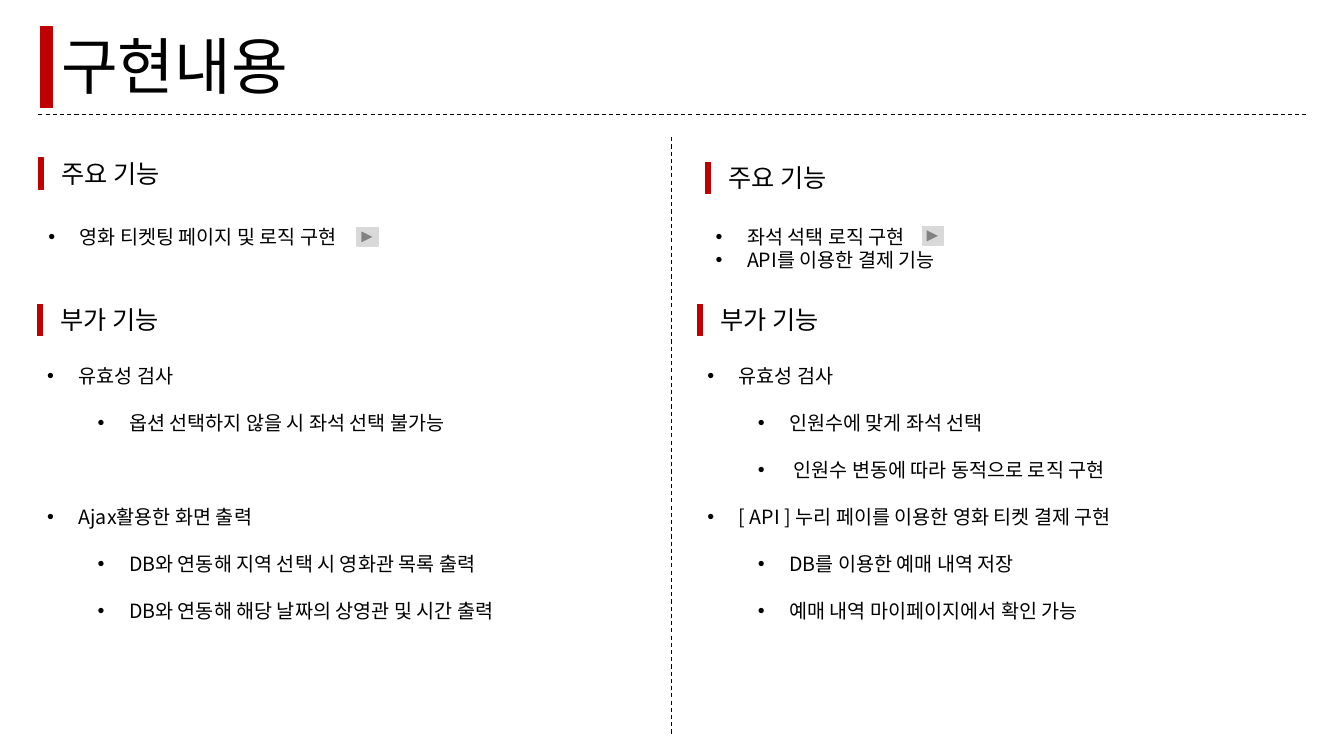
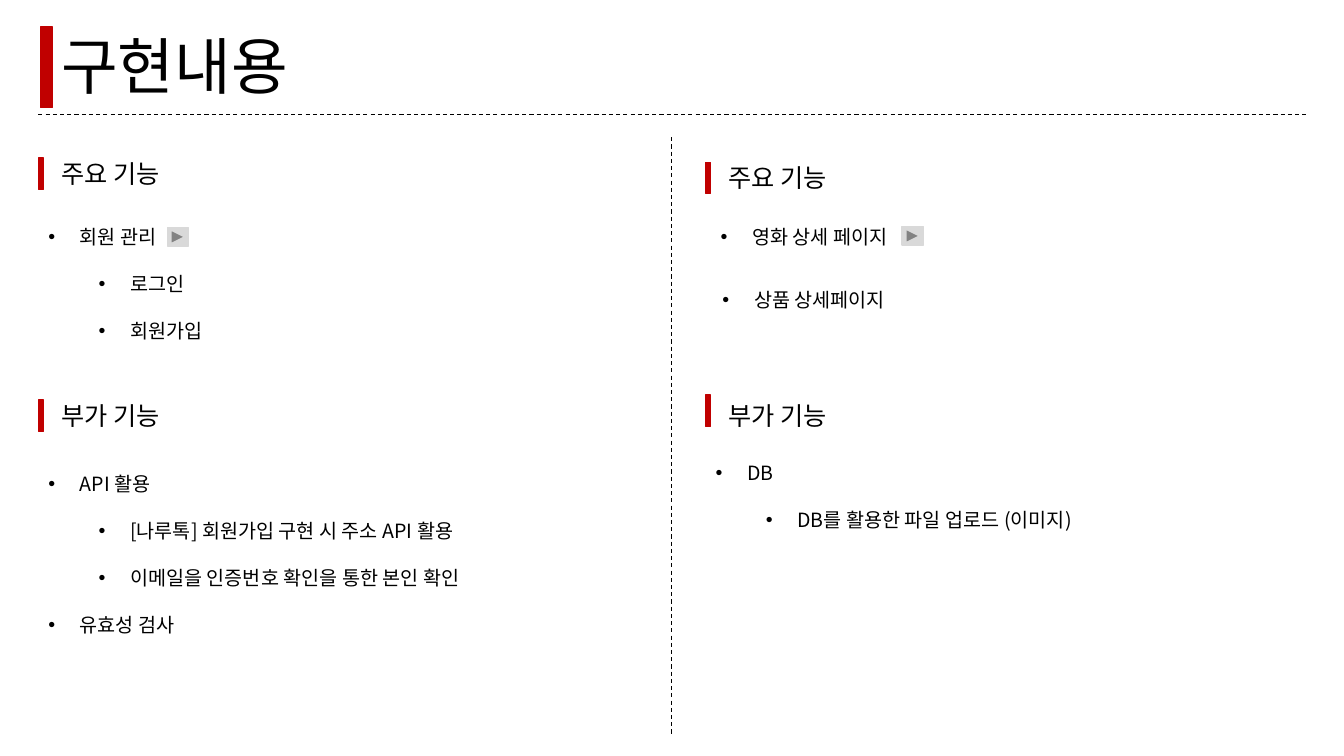
from dataclasses import dataclass

from lxml.etree import SubElement
from pptx import Presentation
from pptx.dml.color import RGBColor
from pptx.enum.dml import MSO_LINE_DASH_STYLE as DASH
from pptx.enum.shapes import MSO_CONNECTOR as CONNECTOR, MSO_SHAPE as SHAPE
from pptx.enum.text import MSO_ANCHOR as ANCHOR
from pptx.oxml.ns import qn
from pptx.util import Pt


@dataclass(frozen=True)
class Theme:
    font: str = "Noto Sans CJK KR"
    text: RGBColor = RGBColor(0, 0, 0)
    accent: RGBColor = RGBColor(0xC0, 0, 0)
    button: RGBColor = RGBColor(0xD9, 0xD9, 0xD9)
    title_size: float = 44
    heading_size: float = 18
    body_size: float = 14
    line_height: float = 1.2


THEME = Theme()
BODY_LINE = THEME.body_size * THEME.line_height
BULLET_INDENT = 22.5
LEVEL_INDENT = 36

SLIDES = [
    {
        "headings": [
            ("주요 기능", 27.4, 113, 109.4),
            ("부가 기능", 26.6, 217.4, 213.8),
            ("주요 기능", 504, 115.9, 112.3),
            ("부가 기능", 498.2, 217.4, 213.8),
        ],
        "lists": [
            (27.4, 157, [(0, "영화 티켓팅 페이지 및 로직 구현", 0)]),
            (26.6, 256.3, [
                (0, "유효성 검사", 0),
                (1, "옵션 선택하지 않을 시 좌석 선택 불가능", 1),
                (0, "Ajax활용한 화면 출력", 3),
                (1, "DB와 연동해 지역 선택 시 영화관 목록 출력", 1),
                (1, "DB와 연동해 해당 날짜의 상영관 및 시간 출력", 1),
            ]),
            (504, 157, [
                (0, "좌석 석택 로직 구현", 0),
                (0, "API를 이용한 결제 기능", 0),
            ]),
            (498.2, 256.3, [
                (0, "유효성 검사", 0),
                (1, "인원수에 맞게 좌석 선택", 1),
                (1, " 인원수 변동에 따라 동적으로 로직 구현", 1),
                (0, "[ API ] 누리 페이를 이용한 영화 티켓 결제 구현", 1),
                (1, "DB를 이용한 예매 내역 저장", 1),
                (1, "예매 내역 마이페이지에서 확인 가능", 1),
            ]),
        ],
        "buttons": [(254.9, 162.7), (658.8, 162)],
    },
    {
        "headings": [
            ("주요 기능", 27.4, 113, 109.4),
            ("부가 기능", 27.4, 285.8, 282.2),
            ("주요 기능", 504, 115.9, 112.3),
            ("부가 기능", 504, 282.2, 282.2),
        ],
        "lists": [
            (27.4, 157, [
                (0, "회원 관리", 0),
                (1, "로그인", 1),
                (1, "회원가입", 1),
            ]),
            (27.4, 333.4, [
                (0, "API 활용", 0),
                (1, "[나루톡] 회원가입 구현 시 주소 API 활용", 1),
                (1, "이메일을 인증번호 확인을 통한 본인 확인", 1),
                (0, "유효성 검사", 1),
            ]),
            (507.6, 157, [(0, "영화 상세 페이지", 0)]),
            (509, 202.3, [(0, "상품 상세페이지", 0)]),
            (504, 325.4, [
                (0, "DB", 0),
                (1, "DB를 활용한 파일 업로드 (이미지)", 1),
            ]),
        ],
        "buttons": [(119.5, 162.7), (644.4, 162)],
    },
]


def add_block(slide, kind, left, top, width, height, color):
    shape = slide.shapes.add_shape(kind, Pt(left), Pt(top), Pt(width), Pt(height))
    shape.shadow.inherit = False
    shape.fill.solid()
    shape.fill.fore_color.rgb = color
    shape.line.color.rgb = color
    shape.line.width = Pt(1)


def add_text(slide, left, top, width, height, items, size, spacing, bulleted=False):
    box = slide.shapes.add_textbox(Pt(left), Pt(top), Pt(width), Pt(height))
    frame = box.text_frame
    frame.word_wrap = True
    for index, (level, text, gap_lines) in enumerate(items):
        paragraph = frame.paragraphs[0] if index == 0 else frame.add_paragraph()
        paragraph.text = text
        paragraph.level = level
        paragraph.line_spacing = spacing
        if gap_lines:
            paragraph.space_before = Pt(gap_lines * BODY_LINE)
        properties = paragraph._p.get_or_add_pPr()
        if bulleted:
            properties.set("marL", str(Pt(BULLET_INDENT + level * LEVEL_INDENT)))
            properties.set("indent", str(-Pt(BULLET_INDENT)))
            SubElement(properties, qn("a:buFont"), typeface="Arial")
            SubElement(properties, qn("a:buChar"), char="•")
        paragraph.font.name = THEME.font
        paragraph.font.size = Pt(size)
        paragraph.font.color.rgb = THEME.text
        SubElement(properties.find(qn("a:defRPr")), qn("a:ea"), typeface=THEME.font)
    return frame


presentation = Presentation()
presentation.slide_width = Pt(960)
presentation.slide_height = Pt(540)

for content in SLIDES:
    slide = presentation.slides.add_slide(presentation.slide_layouts[6])

    title = add_text(slide, 36.7, 19.4, 720, 57.6, [(0, "구현내용", 0)], THEME.title_size, 0.9)
    title.vertical_anchor = ANCHOR.BOTTOM
    add_block(slide, SHAPE.RECTANGLE, 28.8, 19.4, 8.6, 57.6, THEME.accent)

    for ends in ((27.4, 82, 933.8, 82), (480, 98, 480, 525)):
        divider = slide.shapes.add_connector(CONNECTOR.STRAIGHT, *map(Pt, ends))
        divider.line.color.rgb = THEME.text
        divider.line.width = Pt(0.75)
        divider.line.dash_style = DASH.DASH
        SubElement(divider._element.spPr, qn("a:effectLst"))

    for label, left, bar_top, label_top in content["headings"]:
        add_block(slide, SHAPE.RECTANGLE, left, bar_top, 3.6, 22.3, THEME.accent)
        add_text(slide, left + 9.4, label_top, 160.6, 28.8, [(0, label, 0)],
                 THEME.heading_size, Pt(THEME.heading_size * THEME.line_height))

    for left, top, items in content["lists"]:
        line_count = sum(1 + gap_lines for level, text, gap_lines in items)
        add_text(slide, left, top, 425.5, 7.2 + line_count * BODY_LINE, items,
                 THEME.body_size, Pt(BODY_LINE), bulleted=True)

    for left, top in content["buttons"]:
        add_block(slide, SHAPE.ACTION_BUTTON_FORWARD_OR_NEXT, left, top, 15.1, 13, THEME.button)

presentation.save("out.pptx")
